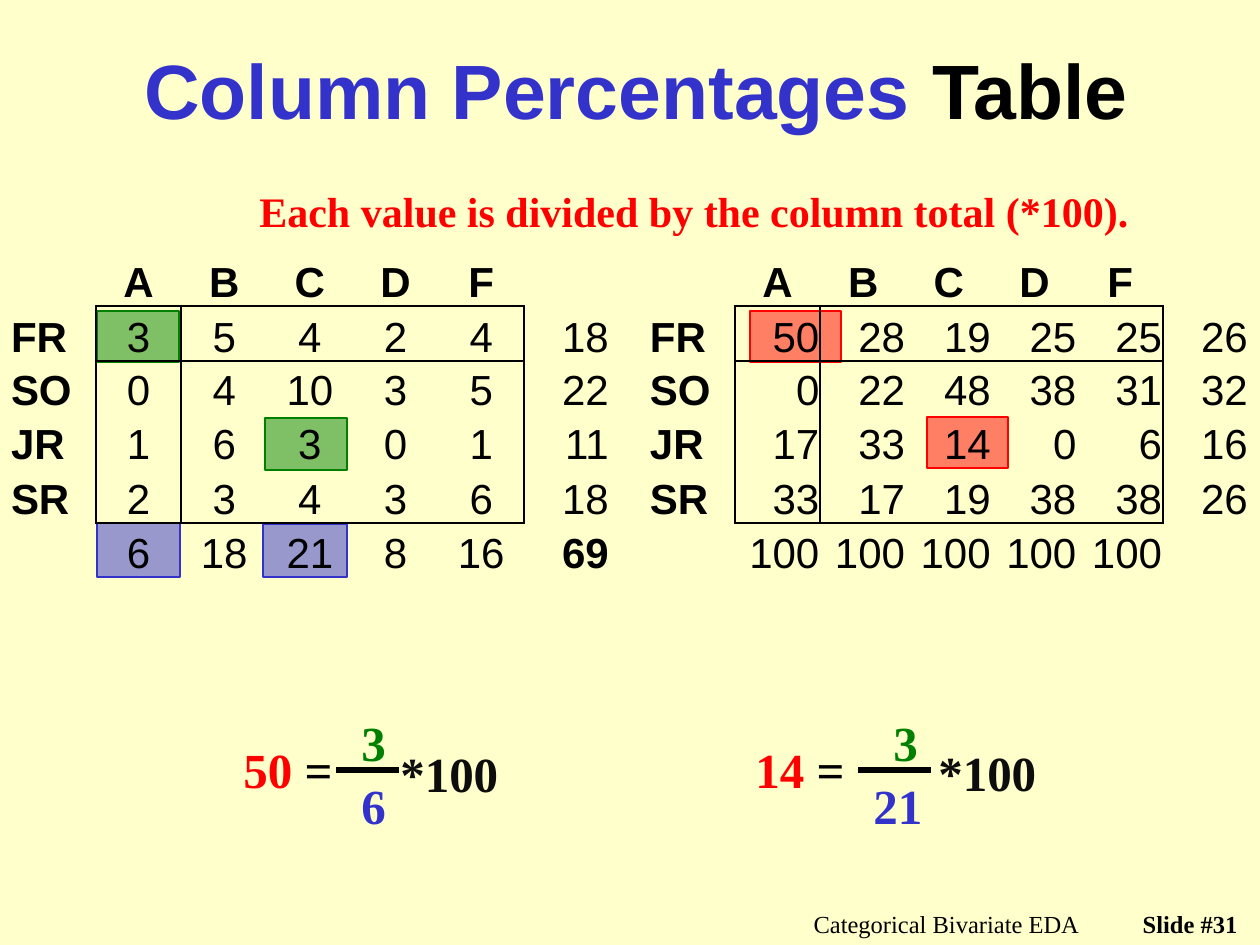
import lxml.etree
import pptx
import pptx.dml.color
import pptx.enum.shapes
import pptx.enum.text
import pptx.oxml.ns
import pptx.util

SCALE = 914400 / 126
SANS, SERIF = "Arial", "Times New Roman"
BLACK, RED, GREEN, BLUE, INK = "000000", "FF0000", "008000", "3333CC", "0D0D0D"
ALIGN = pptx.enum.text.PP_ALIGN
ANCHOR = pptx.enum.text.MSO_ANCHOR
FIT = pptx.enum.text.MSO_AUTO_SIZE
PLAIN_TABLE = "{2D5ABB26-0587-4C30-8999-92F81FD0307C}"


def px(length):
    return pptx.util.Emu(round(length * SCALE))


def place(*lengths):
    return [px(length) for length in lengths]


def color(value):
    return pptx.dml.color.RGBColor.from_string(value)


def child(parent, tag, **attributes):
    return lxml.etree.SubElement(parent, pptx.oxml.ns.qn(tag), attributes)


class Page:
    """Holds the current slide and draws each kind of element on it."""

    def __init__(self, deck, background):
        self.slide = deck.slides.add_slide(deck.slide_layouts[5])
        self.slide.background.fill.solid()
        self.slide.background.fill.fore_color.rgb = color(background)

    def set_text(self, frame, runs, size, font, bold=True, align=ALIGN.LEFT):
        """Fill the first paragraph with (text, colour) runs."""
        para = frame.paragraphs[0]
        para.alignment = align
        para.font.size = pptx.util.Pt(size)
        para.font.name = font
        para.font.bold = bold
        for text, ink in runs:
            span = para.add_run()
            span.text = text
            span.font.color.rgb = color(ink)

    def title(self, area, runs):
        box = self.slide.shapes.title
        box.left, box.top, box.width, box.height = place(*area)
        box.text_frame.vertical_anchor = ANCHOR.MIDDLE
        box.text_frame.auto_size = FIT.NONE
        self.set_text(box.text_frame, runs, 44, SANS, align=ALIGN.CENTER)

    def label(self, area, runs, size, group=None):
        """One unwrapped line of bold serif text."""
        box = (group or self.slide).shapes.add_textbox(*place(*area))
        box.text_frame.word_wrap = False
        box.text_frame.auto_size = FIT.SHAPE_TO_FIT_TEXT
        self.set_text(box.text_frame, runs, size, SERIF)

    def footer(self, area, text, bold):
        box = self.slide.shapes.add_textbox(*place(*area))
        box.text_frame.word_wrap = True
        self.set_text(box.text_frame, [(text, BLACK)], 14, SERIF, bold, ALIGN.RIGHT)

    def highlight(self, area, ink):
        box = self.slide.shapes.add_shape(
            pptx.enum.shapes.MSO_SHAPE.RECTANGLE, *place(*area))
        box.shadow.inherit = False
        box.fill.solid()
        box.fill.fore_color.rgb = color(ink)
        tint = box._element.spPr.find(".//" + pptx.oxml.ns.qn("a:srgbClr"))
        child(tint, "a:alpha", val="50000")
        box.line.color.rgb = color(ink)
        box.line.width = pptx.util.Pt(0.75)

    def bar(self, left, right, y, group):
        line = group.shapes.add_connector(
            pptx.enum.shapes.MSO_CONNECTOR.STRAIGHT, *place(right, y, left, y))
        line.line.color.rgb = color(BLACK)
        line.line.width = pptx.util.Pt(3)
        child(line._element.spPr, "a:effectLst")

    def fraction(self, areas, result, top, bottom, bar):
        group = self.slide.shapes.add_group_shape()
        texts = ([(result + " ", RED), ("=", BLACK)], [(top, GREEN)],
                 [(bottom, BLUE)], [("*100", INK)])
        for area, runs in zip(areas, texts):
            self.label(area, runs, 28, group)
        self.bar(*bar, 770, group)

    def borders(self, cell, sides):
        properties = cell._tc.get_or_add_tcPr()
        for index, side in enumerate(sides):
            line = lxml.etree.Element(pptx.oxml.ns.qn("a:ln" + side), w="19050")
            fill = child(line, "a:solidFill")
            child(fill, "a:srgbClr", val=BLACK)
            properties.insert(index, line)

    def table(self, area, heights, rows, body_align):
        """Cross table: labels, framed counts, then totals outside the frame."""
        last_row, last_column = len(rows) - 1, len(rows[0]) - 1
        frame = self.slide.shapes.add_table(len(rows), len(rows[0]), *place(*area))
        table = frame.table
        table.first_row = table.horz_banding = False
        table._tbl.tblPr.find(pptx.oxml.ns.qn("a:tableStyleId")).text = PLAIN_TABLE
        for r, (height, values) in enumerate(zip(heights, rows)):
            table.rows[r].height = px(height)
            for c, text in enumerate(values):
                cell = table.cell(r, c)
                cell.fill.background()
                cell.margin_left = cell.margin_right = cell.margin_top = px(1)
                cell.margin_bottom = 0
                cell.vertical_anchor = ANCHOR.BOTTOM
                in_rows, in_columns = 0 < r < last_row, 0 < c < last_column
                edges = (("L", in_rows and c in (1, last_column)),
                         ("R", in_rows and c in (0, last_column - 1)),
                         ("T", in_columns and r in (1, last_row)),
                         ("B", in_columns and r in (0, last_row - 1)))
                self.borders(cell, [side for side, shown in edges if shown])
                if c == 0:
                    align = ALIGN.LEFT
                elif c == last_column:
                    align = ALIGN.RIGHT
                else:
                    align = ALIGN.CENTER if r == 0 else body_align
                bold = r == 0 or c == 0 or (r, c) == (last_row, last_column)
                runs = [(text, BLACK)] if text else []
                self.set_text(cell.text_frame, runs, 24, SANS, bold, align)


def main():
    deck = pptx.Presentation()
    deck.slide_width, deck.slide_height = place(1260, 945)
    page = Page(deck, "FFFFCC")

    page.title((53, 10, 1166, 158),
               [("Column Percentages ", BLUE), ("Table", BLACK)])

    for area, ink in (((927, 417, 81, 51), RED), ((265, 418, 82, 52), GREEN),
                      ((263, 524, 84, 53), BLUE), ((97, 311, 82, 51), GREEN),
                      ((97, 523, 83, 54), BLUE), ((750, 311, 91, 51), RED)):
        page.highlight(area, ink)

    header = ["", "A", "B", "C", "D", "F", ""]
    counts = [header,
              ["FR", "3", "5", "4", "2", "4", "18"],
              ["SO", "0", "4", "10", "3", "5", "22"],
              ["JR", "1", "6", "3", "0", "1", "11"],
              ["SR", "2", "3", "4", "3", "6", "18"],
              ["", "6", "18", "21", "8", "16", "69"]]
    percentages = [header,
                   ["FR", "50", "28", "19", "25", "25", "26"],
                   ["SO", "0", "22", "48", "38", "31", "32"],
                   ["JR", "17", "33", "14", "0", "6", "16"],
                   ["SR", "33", "17", "19", "38", "38", "26"],
                   ["", "100", "100", "100", "100", "100", ""]]
    heights = (54, 55, 53, 54, 55, 55)
    for left, rows, align in ((10, counts, ALIGN.CENTER),
                              (649, percentages, ALIGN.RIGHT)):
        page.table((left, 252, 600, sum(heights)), heights, rows, align)

    page.label((247, 179, 903, 63),
               [("Each value is divided by the column total (*100).", RED)], 24)

    page.fraction(((231, 733, 116, 72), (349, 706, 50, 72),
                   (349, 769, 50, 72), (388, 737, 125, 72)),
                  "50", "3", "6", (336, 399))
    page.fraction(((743, 733, 116, 72), (881, 706, 50, 72),
                   (861, 769, 74, 72), (926, 736, 125, 72)),
                  "14", "3", "21", (858, 931))

    page.footer((693, 903, 399, 32), "Categorical Bivariate EDA", False)
    page.footer((1092, 903, 158, 32), "Slide #31", True)
    deck.save("out.pptx")


if __name__ == "__main__":
    main()
